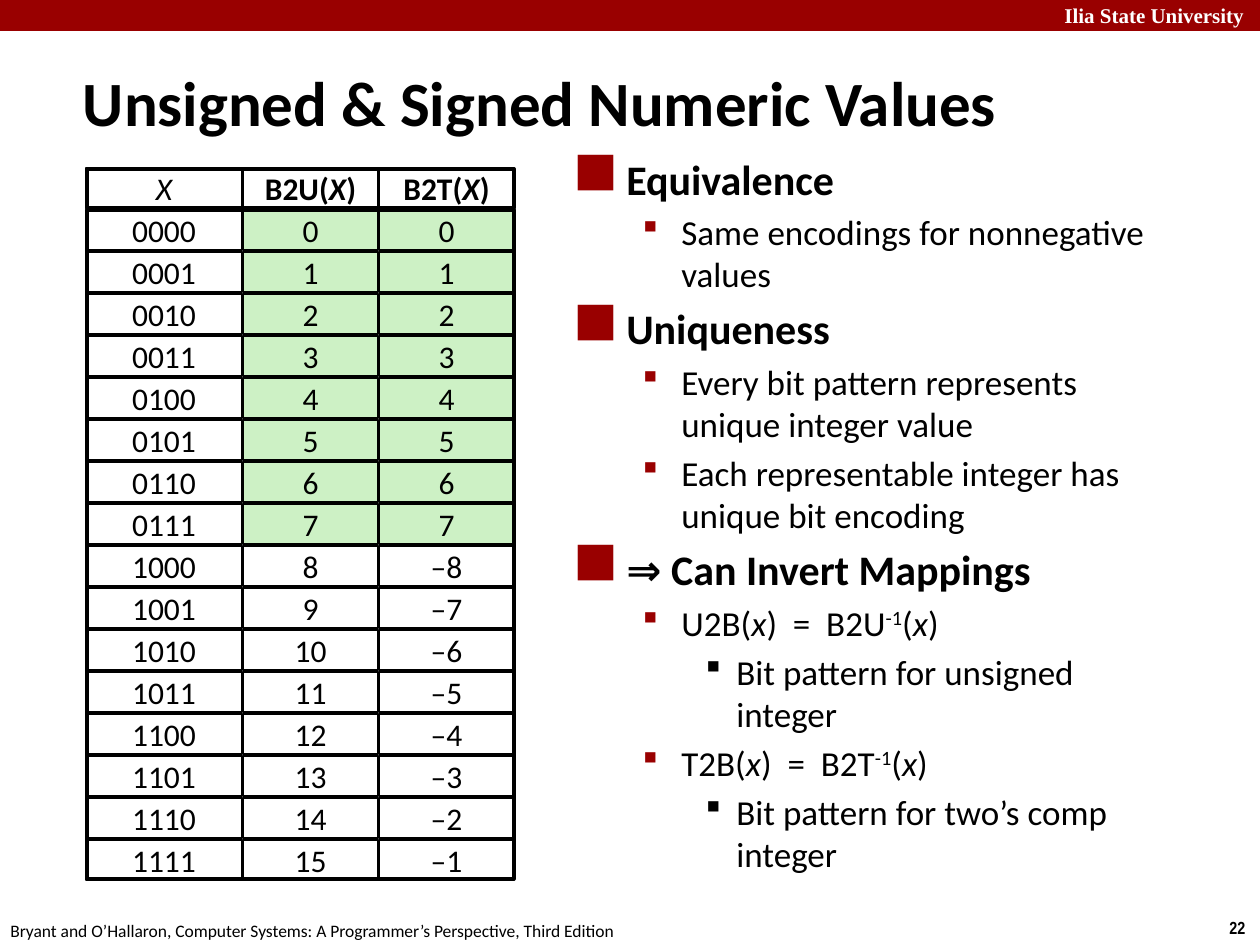
from itertools import cycle
from lxml.etree import SubElement
from pptx import Presentation
from pptx.dml.color import RGBColor
from pptx.enum.shapes import MSO_SHAPE
from pptx.enum.text import MSO_ANCHOR, PP_ALIGN
from pptx.oxml.ns import qn
from pptx.util import Pt

RED, GREEN, BLACK, WHITE = "990000", "CDF1C5", "000000", "FFFFFF"


def px(num):
    return round(num * 914400 / 126)


def rgb(code):
    return RGBColor.from_string(code)


def write(para, text, size=18, font="Calibri", color=BLACK, bold=False):
    """Fill a paragraph; *stars* mark italics and ^carets^ superscript."""
    for part, star in zip(text.split("*"), cycle([False, True])):
        for bit, high in zip(part.split("^"), cycle([False, True])):
            if not bit:
                continue
            run = para.add_run()
            run.text = bit
            face = run.font
            face.size, face.name = Pt(size), font
            face.bold, face.italic = bold, star
            face.color.rgb = rgb(color)
            if high:
                run._r.get_or_add_rPr().set("baseline", "30000")


class Deck:
    # Per level: margin, hanging indent, size, bold, space before, bullet font, bullet, colour
    levels = [
        (47, 47, 24, True, 4.8, "Wingdings 2", "¢", RED),
        (102, 39, 20, False, 4, "Wingdings", "§", RED),
        (157, 31, 20, False, 4, "Wingdings", "§", BLACK),
    ]

    def __init__(self, wide, high):
        self.prs = Presentation()
        self.prs.slide_width, self.prs.slide_height = px(wide), px(high)
        self.slide = self.prs.slides.add_slide(self.prs.slide_layouts[6])
        self.shapes = self.slide.shapes

    def rect(self, *box, fill=None, line=0):
        shape = self.shapes.add_shape(MSO_SHAPE.RECTANGLE, *map(px, box))
        shape.shadow.inherit = False
        if fill:
            shape.fill.solid()
            shape.fill.fore_color.rgb = rgb(fill)
        else:
            shape.fill.background()
        if line:
            shape.line.color.rgb = rgb(BLACK)
            shape.line.width = Pt(line)
        else:
            shape.line.fill.background()
        return shape

    def cell(self, *box, text, fill, bold):
        frame = self.rect(*box, fill=fill, line=1).text_frame
        frame.word_wrap = True
        frame.vertical_anchor = MSO_ANCHOR.MIDDLE
        para = frame.paragraphs[0]
        para.alignment = PP_ALIGN.CENTER
        write(para, text, bold=bold)

    def frame(self, *box, wrap=False):
        frame = self.shapes.add_textbox(*map(px, box)).text_frame
        frame.word_wrap = wrap
        return frame

    def label(self, *box, text, **style):
        write(self.frame(*box).paragraphs[0], text, **style)

    def title(self, *box, text):
        frame = self.frame(*box, wrap=True)
        frame.margin_left = frame.margin_right = px(9)
        frame.margin_top = frame.margin_bottom = px(4)
        write(frame.paragraphs[0], text, size=36, bold=True)

    def outline(self, *box, items):
        frame = self.frame(*box, wrap=True)
        for pos, (level, text) in enumerate(items):
            para = frame.add_paragraph() if pos else frame.paragraphs[0]
            left, hang, size, bold, gap, font, mark, tint = self.levels[level]
            para.level = level
            props = para._p.get_or_add_pPr()
            props.set("marL", str(px(left)))
            props.set("indent", str(-px(hang)))
            hue = SubElement(props, qn("a:buClr"))
            SubElement(hue, qn("a:srgbClr"), val=tint)
            SubElement(props, qn("a:buFont"), typeface=font, charset="2")
            SubElement(props, qn("a:buChar"), char=mark)
            para.space_before = Pt(gap if pos else 0)
            write(para, text, size=size, bold=bold)


def main():
    deck = Deck(1260, 945)

    # Header and footer
    deck.rect(0, 0, 1260, 31, fill=RED)
    deck.label(1052, -4, 218, 38, text="Ilia State University",
               size=12, font="Times New Roman", color=WHITE, bold=True)
    deck.label(1217, 911, 43, 34, text="22", size=10, font="Arial Narrow", bold=True)
    deck.label(-2, 914, 640, 34, size=10,
               text="Bryant and O’Hallaron, Computer Systems: "
                    "A Programmer’s Perspective, Third Edition")

    # Title and outline
    deck.title(74, 60, 1144, 77, text="Unsigned & Signed Numeric Values")
    deck.outline(567, 147, 615, 719, items=[
        (0, "Equivalence"),
        (1, "Same encodings for nonnegative values"),
        (0, "Uniqueness"),
        (1, "Every bit pattern represents unique integer value"),
        (1, "Each representable integer has unique bit encoding"),
        (0, "⇒ Can Invert Mappings"),
        (1, "U2B(*x*)  =  B2U^-1^(*x*)"),
        (2, "Bit pattern for unsigned integer"),
        (1, "T2B(*x*)  =  B2T^-1^(*x*)"),
        (2, "Bit pattern for two’s comp integer"),
    ])

    # Grid of 4-bit encodings
    rows = [("*X*", "B2U(*X*)", "B2T(*X*)")]
    for num in range(16):
        twos = str(num) if num < 8 else f"–{16 - num}"
        rows.append((f"{num:04b}", str(num), twos))
    cols = [(86, 156), (243, 135), (379, 135)]
    for row, texts in enumerate(rows):
        for col, ((left, width), text) in enumerate(zip(cols, texts)):
            same = 1 <= row <= 8 and col > 0
            deck.cell(left, 168 + 42 * row, width, 40, text=text,
                      fill=GREEN if same else WHITE, bold=row == 0 and col > 0)

    # Heavy frames round the head and the body of the grid
    deck.rect(87, 169, 427, 39, line=2)
    deck.rect(87, 210, 427, 669, line=2)

    deck.prs.save("out.pptx")


if __name__ == "__main__":
    main()
